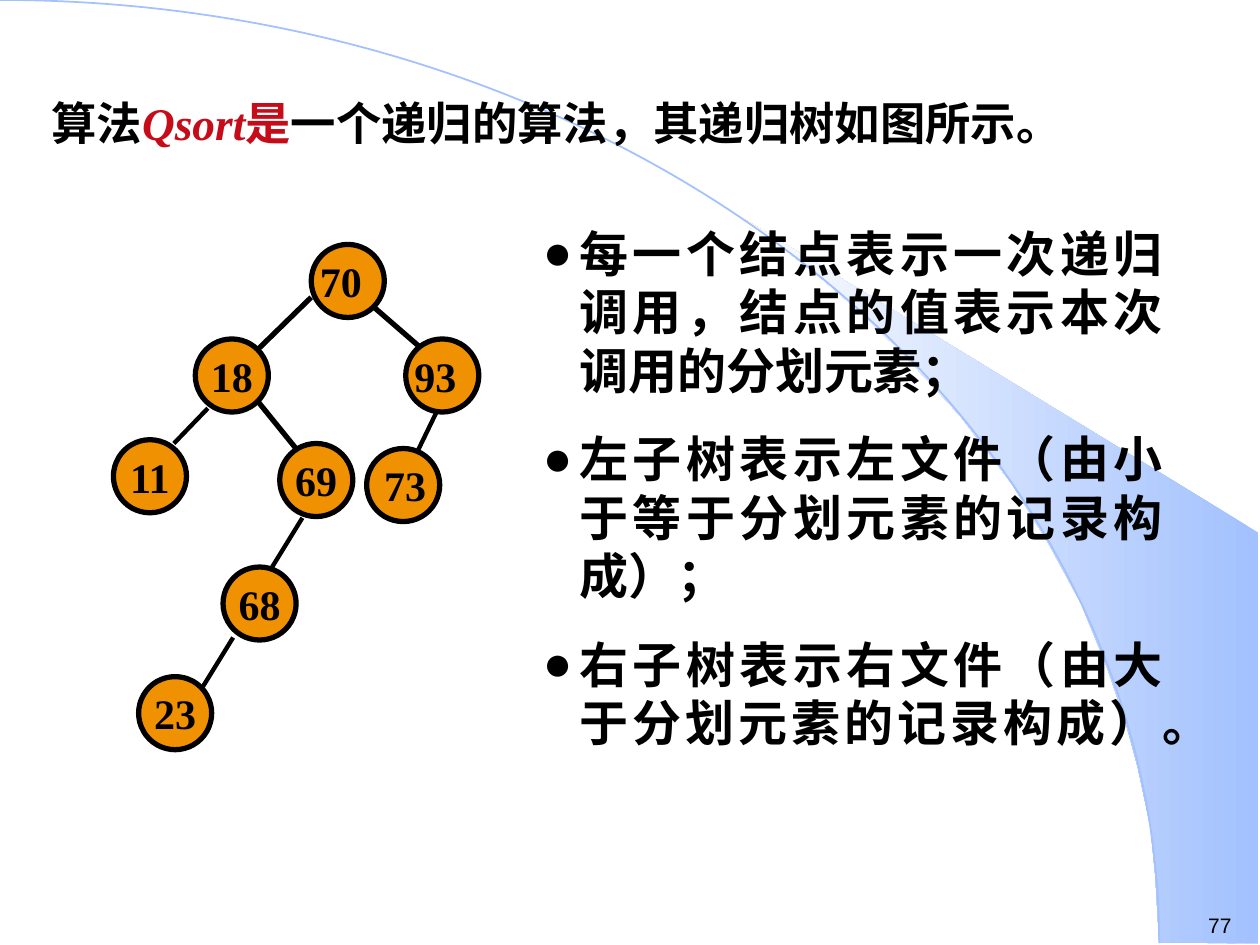
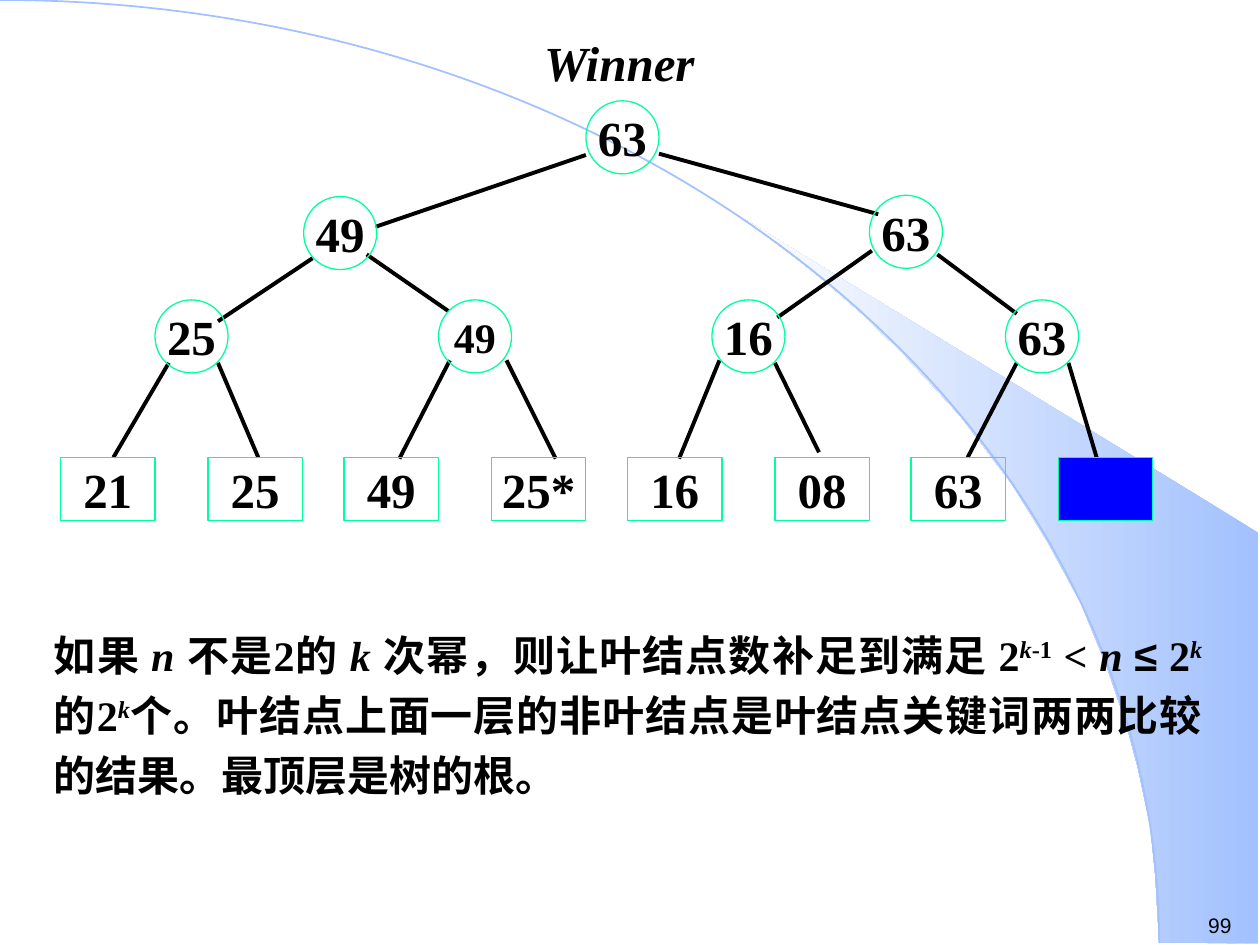
from dataclasses import dataclass
from typing import NamedTuple

from lxml.etree import SubElement
from pptx import Presentation
from pptx.dml.color import RGBColor
from pptx.enum.shapes import MSO_CONNECTOR as Conn, MSO_SHAPE as Shape
from pptx.enum.text import MSO_ANCHOR as Anchor, PP_ALIGN as Align
from pptx.oxml.ns import qn
from pptx.util import Inches, Pt

BLACK, RED, ORANGE, BLUE, MINT = "000000", "C60C19", "EF9100", "0000FF", "00FF9F"
SKY, PALE = "A2C1FE", "FEFEFE"
SERIF, SANS, CJK = "Times New Roman", "Arial", "Noto Sans CJK SC"
DIAMETER = 0.58
LEAF_W, LEAF_H, LEAF_TOP = 0.75, 0.5, 3.63
WEDGE = [(9.2, 7.48), (9.99, 7.49), (9.99, 4.23), (5.89, 1.73), (6.24, 1.99),
         (6.53, 2.22), (6.85, 2.5), (7.16, 2.8), (7.62, 3.3), (8.03, 3.84),
         (8.32, 4.31), (8.58, 4.79), (8.78, 5.28), (8.93, 5.72), (9.03, 6.09),
         (9.13, 6.56), (9.17, 6.96)]


class Box(NamedTuple):
    left: float
    top: float
    width: float
    height: float

    def emu(self) -> list[int]:
        return [Inches(v) for v in self]


class Edge(NamedTuple):
    x1: float
    y1: float
    x2: float
    y2: float
    width: float = 2.25


class Node(NamedTuple):
    text: str
    left: float
    top: float
    size: float = 28


class Label(NamedTuple):
    text: str
    box: Box


@dataclass
class Run:
    text: str
    size: float = 24
    font: str = SERIF
    color: str = BLACK
    bold: bool = True
    italic: bool = False
    raised: bool = False


@dataclass
class NodeStyle:
    line: str
    width: float
    fill: str | None = None


def rgb(value: str) -> RGBColor:
    return RGBColor.from_string(value)


def add_runs(p, runs: list[Run]) -> None:
    for run in runs:
        r = p.add_run()
        r.text = run.text
        f = r.font
        f.size, f.name, f.bold, f.italic = Pt(run.size), run.font, run.bold, run.italic
        f.color.rgb = rgb(run.color)
        rpr = r._r.get_or_add_rPr()
        SubElement(rpr, qn("a:ea")).set("typeface", CJK)
        if run.raised:
            rpr.set("baseline", "30000")


def add_text(s, box: Box, paragraphs: list[list[Run]], wrap: bool = True,
             align: Align = Align.LEFT, line: float | None = None):
    tf = s.shapes.add_textbox(*box.emu()).text_frame
    tf.word_wrap = wrap
    for i, runs in enumerate(paragraphs):
        p = tf.add_paragraph() if i else tf.paragraphs[0]
        p.alignment = align
        if line:
            p.line_spacing = Pt(line)
        add_runs(p, runs)
    return tf


def add_bullets(s, box: Box, items: list[str]) -> None:
    runs = [[Run(item, 28, CJK)] for item in items]
    tf = add_text(s, box, runs, align=Align.JUSTIFY, line=33.3)
    for i, p in enumerate(tf.paragraphs):
        if i:
            p.space_before = Pt(17.5)
        ppr = p._p.get_or_add_pPr()
        ppr.set("marL", str(Inches(0.29)))
        ppr.set("indent", str(Inches(-0.29)))
        SubElement(SubElement(ppr, qn("a:buClr")), qn("a:srgbClr")).set("val", BLACK)
        SubElement(ppr, qn("a:buFont")).set("typeface", SANS)
        SubElement(ppr, qn("a:buChar")).set("char", "●")


def add_node(s, kind: Shape, box: Box, style: NodeStyle, runs: list[Run]) -> None:
    sp = s.shapes.add_shape(kind, *box.emu())
    sp.shadow.inherit = False
    if style.fill:
        sp.fill.solid()
        sp.fill.fore_color.rgb = rgb(style.fill)
    else:
        sp.fill.background()
    sp.line.color.rgb = rgb(style.line)
    sp.line.width = Pt(style.width)
    tf = sp.text_frame
    tf.word_wrap = False
    tf.vertical_anchor = Anchor.MIDDLE
    p = tf.paragraphs[0]
    p.alignment = Align.CENTER
    add_runs(p, runs)


def add_circles(s, nodes: list[Node], style: NodeStyle) -> None:
    for n in nodes:
        runs = [Run(n.text, n.size)] if n.text else []
        add_node(s, Shape.OVAL, Box(n.left, n.top, DIAMETER, DIAMETER), style, runs)


def add_edges(s, edges: list[Edge]) -> None:
    for e in edges:
        ends = [Inches(v) for v in e[:4]]
        c = s.shapes.add_connector(Conn.STRAIGHT, *ends)
        c.line.color.rgb = rgb(BLACK)
        c.line.width = Pt(e.width)
        SubElement(c._element.spPr, qn("a:effectLst"))


def add_base_slide(prs, number: str):
    s = prs.slides.add_slide(prs.slide_layouts[6])
    points = [(Inches(x), Inches(y)) for x, y in WEDGE]
    fb = s.shapes.build_freeform(*points[0])
    fb.add_line_segments(points[1:], close=True)
    wedge = fb.convert_to_shape()
    wedge.shadow.inherit = False
    wedge.line.fill.background()
    wedge.fill.gradient()
    wedge.fill.gradient_angle = 180
    for stop, color, position in zip(wedge.fill.gradient_stops, (SKY, PALE), (0, 1)):
        stop.color.rgb = rgb(color)
        stop.position = position
    arc = s.shapes.add_shape(Shape.ARC, *Box(-9.2, 0, 18.4, 14.97).emu())
    arc.shadow.inherit = False
    arc.fill.background()
    arc.line.color.rgb = rgb(SKY)
    arc.line.width = Pt(1)
    add_text(s, Box(9.49, 7.19, 0.51, 0.3), [[Run(number, 12, SANS, bold=False)]])
    return s


def build_recursion_slide(prs) -> None:
    s = add_base_slide(prs, "77")
    add_text(s, Box(0.31, 0.76, 8.9, 0.63), [[
        Run("算法", 25.9),
        Run("Qsort", 25.9, color=RED, italic=True),
        Run("是", 25.9, color=RED),
        Run("一个递归的算法，其递归树如图所示。", 25.9),
    ]], line=27)
    add_edges(s, [
        Edge(2.05, 3.19, 2.39, 3.61, 3), Edge(2.97, 2.44, 3.35, 2.77, 3),
        Edge(2.47, 2.36, 2.05, 2.77, 3), Edge(1.65, 3.24, 1.38, 3.52, 2.5),
        Edge(2.4, 4.11, 2.16, 4.5, 2.5), Edge(1.85, 5.06, 1.61, 5.45, 2.5),
        Edge(3.46, 3.28, 3.31, 3.59, 2.5),
    ])
    add_circles(s, [
        Node("", 2.91, 3.56), Node("", 2.47, 1.94), Node("", 3.22, 2.69),
        Node("18", 1.55, 2.69, 24), Node("69", 2.22, 3.52, 24),
        Node("68", 1.77, 4.5, 24), Node("23", 1.1, 5.37, 24),
        Node("11", 0.9, 3.49, 24),
    ], NodeStyle(BLACK, 3, ORANGE))
    for label in [
        Label("70", Box(2.44, 1.98, 0.68, 0.5)),
        Label("93", Box(3.19, 2.73, 0.53, 0.5)),
        Label("73", Box(2.95, 3.6, 0.53, 0.5)),
    ]:
        add_text(s, label.box, [[Run(label.text)]], wrap=False)
    add_bullets(s, Box(4.21, 1.73, 5.12, 4.32), [
        "每一个结点表示一次递归调用，结点的值表示本次调用的分划元素；",
        "左子树表示左文件（由小于等于分划元素的记录构成）；",
        "右子树表示右文件（由大于分划元素的记录构成）。",
    ])


def build_winner_slide(prs) -> None:
    s = add_base_slide(prs, "99")
    add_text(s, Box(0.33, 4.87, 9.31, 2.15), [[
        Run("如果 "), Run("n ", italic=True), Run("不是2的 "), Run("k ", italic=True),
        Run("次幂，则让叶结点数补足到满足 2"),
        Run("k", italic=True, raised=True), Run("-1", raised=True),
        Run(" < "), Run("n ", italic=True), Run("≤", font=SANS), Run(" 2"),
        Run("k ", italic=True, raised=True), Run("的2"),
        Run("k", italic=True, raised=True),
        Run("个。叶结点上面一层的非叶结点是叶结点关键词两两比较的结果。最顶层是树的根。"),
    ]], align=Align.JUSTIFY, line=34.3)
    add_edges(s, [
        Edge(5.23, 1.22, 6.97, 1.7), Edge(2.98, 1.8, 4.65, 1.23),
        Edge(6.92, 1.99, 6.17, 2.52), Edge(2.91, 2.02, 3.56, 2.47),
        Edge(7.44, 2.02, 8.07, 2.49), Edge(2.48, 2.05, 1.73, 2.55),
        Edge(3.57, 2.86, 3.17, 3.64), Edge(5.71, 2.86, 5.39, 3.64),
        Edge(8.07, 2.88, 7.68, 3.63), Edge(8.48, 2.88, 8.73, 3.72),
        Edge(6.15, 2.88, 6.5, 3.59), Edge(4.02, 2.86, 4.41, 3.64),
        Edge(1.73, 2.88, 2.05, 3.63), Edge(1.34, 2.88, 0.9, 3.63),
    ])
    outline = NodeStyle(MINT, 0.75)
    add_circles(s, [
        Node("63", 4.65, 0.8), Node("49", 2.41, 1.56), Node("63", 6.9, 1.55),
        Node("25", 1.23, 2.38), Node("49", 3.48, 2.38, 24),
        Node("16", 5.65, 2.38), Node("63", 7.98, 2.38),
    ], outline)
    add_text(s, Box(4.22, 0.21, 1.5, 0.57), [[Run("Winner", 28, italic=True)]], wrap=False)
    for i, key in enumerate(["21", "25", "49", "25*", "16", "08", "63", ""]):
        pair, side = divmod(i, 2)
        box = Box(0.48 + 2.25 * pair + 1.17 * side, LEAF_TOP, LEAF_W, LEAF_H)
        style = outline if key else NodeStyle(MINT, 0.75, BLUE)
        add_node(s, Shape.RECTANGLE, box, style, [Run(key, 28)] if key else [])


def main() -> None:
    prs = Presentation()
    prs.slide_width, prs.slide_height = Inches(10), Inches(7.5)
    build_recursion_slide(prs)
    build_winner_slide(prs)
    prs.save("out.pptx")


if __name__ == "__main__":
    main()
